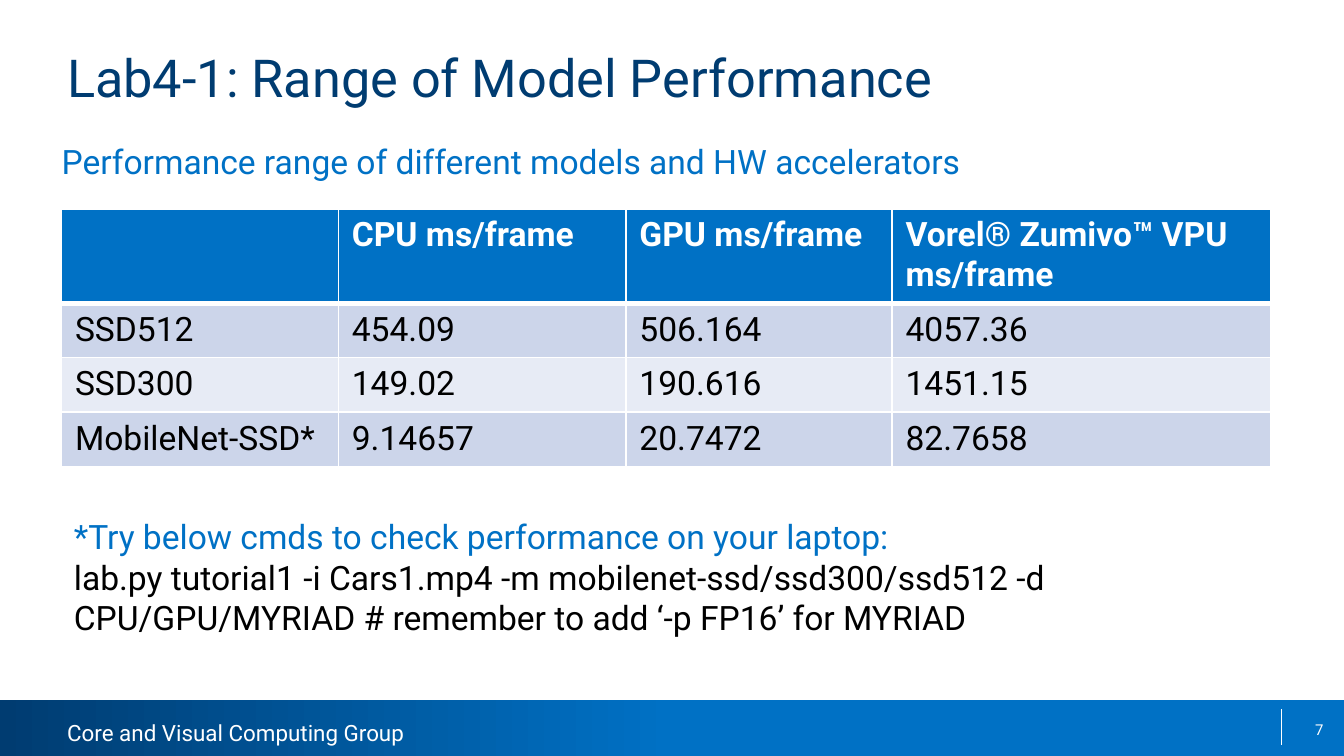
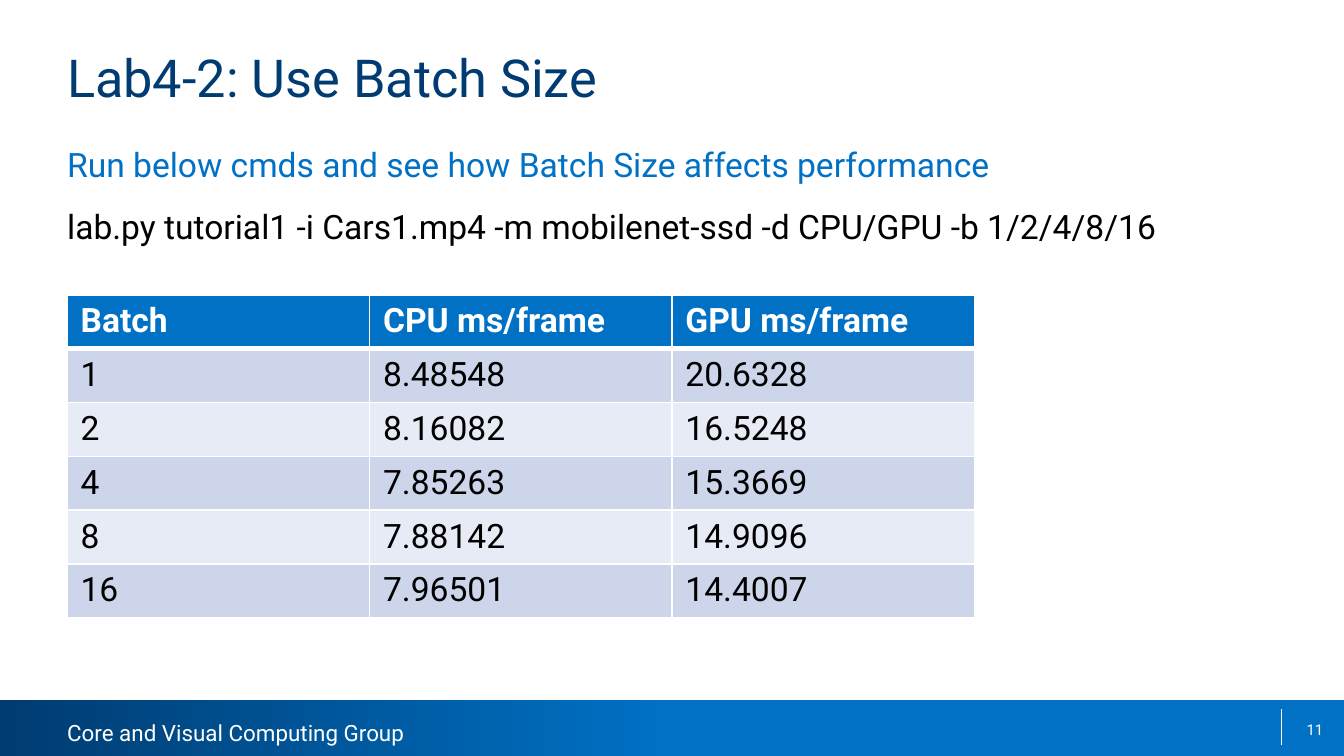
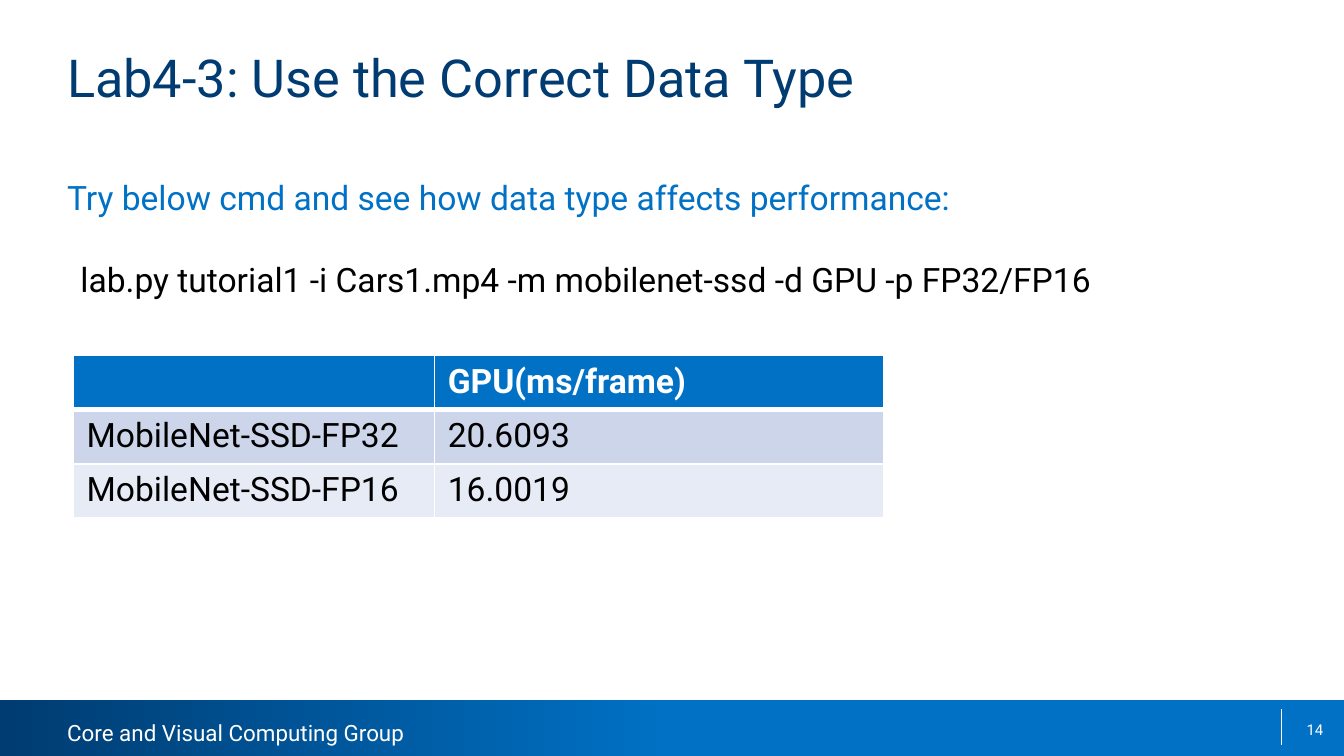
from dataclasses import dataclass

import pptx
import pptx.dml.color
import pptx.enum.dml
import pptx.enum.shapes
import pptx.enum.text
import pptx.oxml.ns
import pptx.presentation
import pptx.slide
import pptx.text.text
import pptx.util
from lxml import etree

Pt = pptx.util.Pt
RGB = pptx.dml.color.RGBColor
ALIGN = pptx.enum.text.PP_ALIGN
ANCHOR = pptx.enum.text.MSO_ANCHOR
AUTO = pptx.enum.text.MSO_AUTO_SIZE
qn = pptx.oxml.ns.qn


# Theme
@dataclass(frozen=True)
class Theme:
    font: str = "Roboto"
    navy: str = "003C71"
    blue: str = "0071C5"
    white: str = "FFFFFF"
    black: str = "000000"
    bands: tuple[str, str] = ("CCD5EA", "E7EBF5")
    title: float = 28
    body: float = 18
    footer: float = 12
    number: float = 8
    border: float = 1
    header_border: float = 3


T = Theme()
WIDTH, HEIGHT = 720, 405
MARGIN = 36
TEXT_WIDTH = WIDTH - 2 * MARGIN
BAND_TOP = 375


# Elements
@dataclass(frozen=True)
class Line:
    text: str
    color: str = T.black
    size: float = T.body


@dataclass(frozen=True)
class TextBlock:
    box: tuple[float, float, float, float]
    lines: tuple[Line, ...]
    inset: bool = False
    wrap: bool = True
    grow: bool = False
    gap: float = 0
    align: ALIGN = ALIGN.LEFT
    anchor: ANCHOR = ANCHOR.TOP


@dataclass(frozen=True)
class Grid:
    left: float
    top: float
    cols: tuple[float, ...]
    header_height: float
    row_height: float
    rows: tuple[tuple[str, ...], ...]


@dataclass(frozen=True)
class Page:
    number: int
    title: str
    elements: tuple[TextBlock | Grid, ...]


def style(p: pptx.text.text._Paragraph, color: str, size: float, bold: bool = False) -> None:
    for r in p.runs:
        r.font.name = T.font
        r.font.size = Pt(size)
        r.font.bold = bold
        r.font.color.rgb = RGB.from_string(color)


def draw_text(s: pptx.slide.Slide, block: TextBlock) -> None:
    tf = s.shapes.add_textbox(*map(Pt, block.box)).text_frame
    tf.word_wrap = block.wrap
    tf.vertical_anchor = block.anchor
    tf.auto_size = AUTO.SHAPE_TO_FIT_TEXT if block.grow else AUTO.NONE
    if not block.inset:
        tf.margin_left = tf.margin_top = tf.margin_right = tf.margin_bottom = 0
    for i, line in enumerate(block.lines):
        p = tf.add_paragraph() if i else tf.paragraphs[0]
        p.text = line.text
        p.alignment = block.align
        if i and block.gap:
            p.space_before = Pt(block.gap)
        style(p, line.color, line.size)


def set_borders(cell, top: float, bottom: float) -> None:
    tc_pr = cell._tc.get_or_add_tcPr()
    widths = {"lnL": T.border, "lnR": T.border, "lnT": top, "lnB": bottom}
    for tag, width in widths.items():
        ln = etree.SubElement(tc_pr, qn(f"a:{tag}"), w=str(Pt(width)))
        fill = etree.SubElement(ln, qn("a:solidFill"))
        etree.SubElement(fill, qn("a:srgbClr"), val=T.white)


def draw_grid(s: pptx.slide.Slide, grid: Grid) -> None:
    heights = [grid.header_height] + [grid.row_height] * (len(grid.rows) - 1)
    table = s.shapes.add_table(
        len(heights), len(grid.cols), Pt(grid.left), Pt(grid.top),
        Pt(sum(grid.cols)), Pt(sum(heights))).table
    table.horz_banding = False
    for col, width in zip(table.columns, grid.cols):
        col.width = Pt(width)
    for i, values in enumerate(grid.rows):
        table.rows[i].height = Pt(heights[i])
        header = i == 0
        for j, value in enumerate(values):
            cell = table.cell(i, j)
            set_borders(cell,
                        top=T.header_border if i == 1 else T.border,
                        bottom=T.header_border if header else T.border)
            cell.fill.solid()
            cell.fill.fore_color.rgb = RGB.from_string(T.blue if header else T.bands[(i - 1) % 2])
            cell.text_frame.text = value
            style(cell.text_frame.paragraphs[0], T.white if header else T.black, T.body, header)


# Shared footer: gradient band, group name, divider, page number
def draw_footer(s: pptx.slide.Slide, number: int) -> None:
    sp = s.shapes.add_shape(pptx.enum.shapes.MSO_SHAPE.RECTANGLE,
                            0, Pt(BAND_TOP), Pt(WIDTH), Pt(HEIGHT - BAND_TOP))
    sp.shadow.inherit = False
    sp.line.fill.background()
    sp.fill.gradient()
    sp.fill.gradient_angle = 0
    for stop, color, position in zip(sp.fill.gradient_stops, (T.navy, T.blue), (0, 0.5)):
        stop.color.rgb = RGB.from_string(color)
        stop.position = position

    draw_text(s, TextBlock((MARGIN, 385.2, 187.2, 14.4),
                           (Line("Core and Visual Computing Group", T.white, T.footer),),
                           wrap=False, grow=True))

    divider = s.shapes.add_connector(pptx.enum.shapes.MSO_CONNECTOR.STRAIGHT,
                                     Pt(686.5), Pt(380), Pt(686.5), Pt(399))
    divider.line.color.rgb = RGB.from_string(T.white)
    divider.line.width = Pt(0.75)
    etree.SubElement(divider._element.spPr, qn("a:effectLst"))

    draw_text(s, TextBlock((541.5, 380, 167.5, 21.6),
                           (Line(str(number), T.white, T.number),),
                           align=ALIGN.RIGHT, anchor=ANCHOR.MIDDLE))


def draw_page(prs: pptx.presentation.Presentation, page: Page) -> None:
    s = prs.slides.add_slide(prs.slide_layouts[6])
    draw_footer(s, page.number)
    draw_text(s, TextBlock((MARGIN, 24.5, TEXT_WIDTH, 68.4),
                           (Line(page.title, T.navy, T.title),)))
    for element in page.elements:
        if isinstance(element, Grid):
            draw_grid(s, element)
        else:
            draw_text(s, element)


# Content
PAGES = (
    Page(7, "Lab4-1: Range of Model Performance", (
        TextBlock((33, 75.6, TEXT_WIDTH, 183),
                  (Line("Performance range of different models and HW accelerators", T.blue),)),
        Grid(33, 112, (148.3, 154.1, 142.6, 203), 49.4, 29.2, (
            ("", "CPU ms/frame", "GPU ms/frame", "Vorel® Zumivo™ VPU ms/frame"),
            ("SSD512", "454.09", "506.164", "4057.36"),
            ("SSD300", "149.02", "190.616", "1451.15"),
            ("MobileNet-SSD*", "9.14657", "20.7472", "82.7658"),
        )),
        TextBlock((32.5, 273, TEXT_WIDTH, 72.7), (
            Line("*Try below cmds to check performance on your laptop:", T.blue),
            Line("lab.py tutorial1 -i Cars1.mp4 -m mobilenet-ssd/ssd300/ssd512 -d "
                 "CPU/GPU/MYRIAD # remember to add ‘-p FP16’ for MYRIAD"),
        ), inset=True, grow=True),
    )),
    Page(11, "Lab4-2: Use Batch Size", (
        TextBlock((MARGIN, 77, TEXT_WIDTH, 240.5), (
            Line("Run below cmds and see how Batch Size affects performance", T.blue),
            Line("lab.py tutorial1 -i Cars1.mp4 -m mobilenet-ssd -d CPU/GPU -b 1/2/4/8/16"),
        ), gap=12),
        Grid(MARGIN, 158, (162,) * 3, 28.3, 28.3, (
            ("Batch", "CPU ms/frame", "GPU ms/frame"),
            ("1", "8.48548", "20.6328"),
            ("2", "8.16082", "16.5248"),
            ("4", "7.85263", "15.3669"),
            ("8", "7.88142", "14.9096"),
            ("16", "7.96501", "14.4007"),
        )),
    )),
    Page(14, "Lab4-3: Use the Correct Data Type", (
        TextBlock((MARGIN, 95, TEXT_WIDTH, 270),
                  (Line("Try below cmd and see how data type affects performance:", T.blue),)),
        Grid(39.2, 190.4, (193.5, 241), 28.3, 29.2, (
            ("", "GPU(ms/frame)"),
            ("MobileNet-SSD-FP32", "20.6093"),
            ("MobileNet-SSD-FP16", "16.0019"),
        )),
        TextBlock((MARGIN, 135.4, 622.8, 28.8),
                  (Line("lab.py tutorial1 -i Cars1.mp4 -m mobilenet-ssd -d GPU -p FP32/FP16"),),
                  inset=True, grow=True),
    )),
)


def main() -> None:
    prs = pptx.Presentation()
    prs.slide_width, prs.slide_height = Pt(WIDTH), Pt(HEIGHT)
    for page in PAGES:
        draw_page(prs, page)
    prs.save("out.pptx")


if __name__ == "__main__":
    main()
